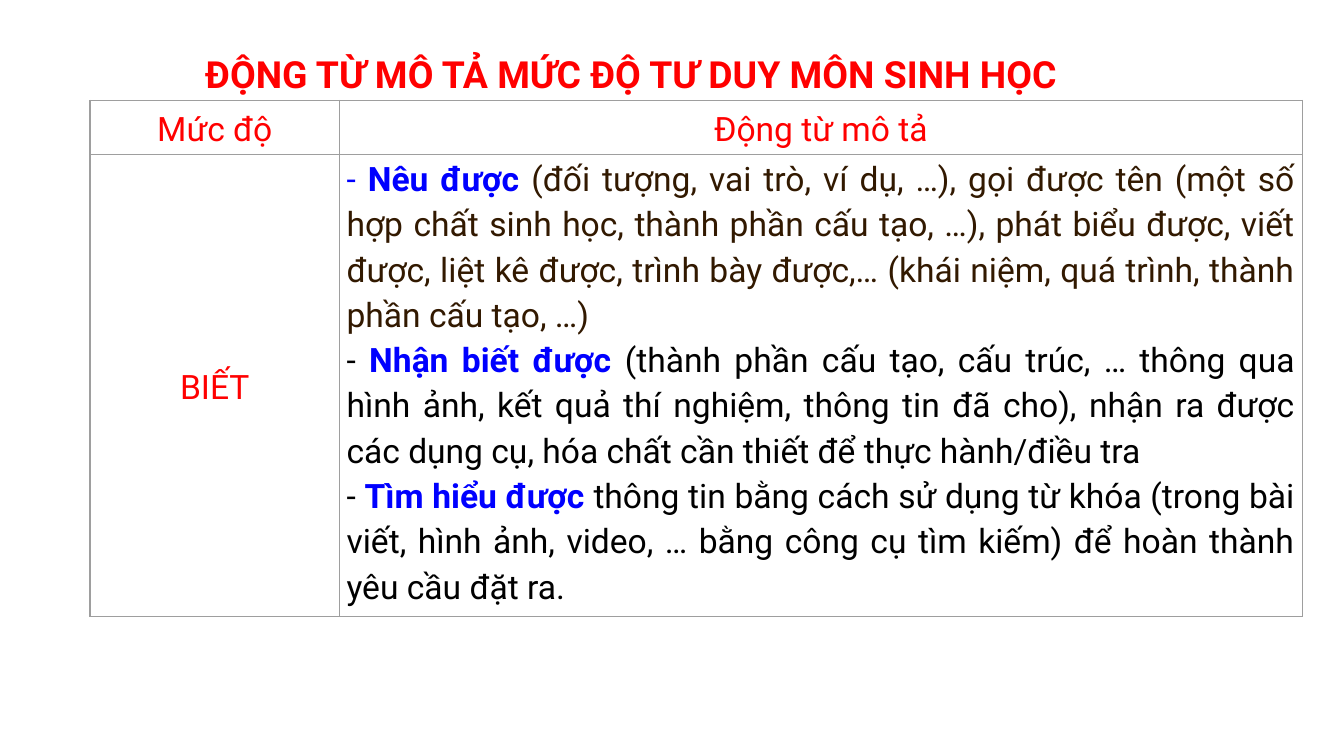
"""Build a slide with a table of verbs describing levels of thinking in biology."""
from dataclasses import dataclass

from lxml import etree
from pptx import Presentation
from pptx.dml.color import RGBColor
from pptx.enum.text import MSO_ANCHOR, MSO_AUTO_SIZE, PP_ALIGN
from pptx.oxml.ns import qn
from pptx.util import Cm, Pt

CENTER, JUSTIFY = PP_ALIGN.CENTER, PP_ALIGN.JUSTIFY
TOP, MIDDLE = MSO_ANCHOR.TOP, MSO_ANCHOR.MIDDLE
NO_AUTOFIT = MSO_AUTO_SIZE.NONE
TITLE_ONLY = 5


@dataclass(frozen=True)
class Theme:
    font: str = "Roboto"
    title_size: int = 20
    body_size: int = 18
    line_spacing: float = 1.15
    border_width: float = 0.75
    red: str = "FF0000"
    blue: str = "0000FF"
    brown: str = "321900"
    black: str = "000000"
    border: str = "9E9E9E"


T = Theme()


@dataclass(frozen=True)
class Run:
    text: str
    color: str = T.red
    bold: bool = False
    size: int = T.body_size


@dataclass(frozen=True)
class CellText:
    paragraphs: list[list[Run]]
    align: PP_ALIGN = CENTER
    anchor: MSO_ANCHOR = MIDDLE


def verb(dash_color: str, name: str, detail: str, color: str) -> list[Run]:
    return [Run("- ", dash_color), Run(name + " ", T.blue, True), Run(detail, color)]


VERBS = [
    verb(T.blue, "Nêu được",
         "(đối tượng, vai trò, ví dụ, …), gọi được tên (một số hợp chất sinh học, "
         "thành phần cấu tạo, …), phát biểu được, viết được, liệt kê được, "
         "trình bày được,… (khái niệm, quá trình, thành phần cấu tạo, …)", T.brown),
    verb(T.black, "Nhận biết được",
         "(thành phần cấu tạo, cấu trúc, … thông qua hình ảnh, kết quả thí nghiệm, "
         "thông tin đã cho), nhận ra được các dụng cụ, hóa chất cần thiết để "
         "thực hành/điều tra", T.black),
    verb(T.black, "Tìm hiểu được",
         "thông tin bằng cách sử dụng từ khóa (trong bài viết, hình ảnh, video, … "
         "bằng công cụ tìm kiếm) để hoàn thành yêu cầu đặt ra.", T.black),
]
TITLE = [Run("ĐỘNG TỪ MÔ TẢ MỨC ĐỘ TƯ DUY MÔN SINH HỌC", T.red, True, T.title_size)]
ROWS = [
    [CellText([[Run("Mức độ")]]), CellText([[Run("Động từ mô tả")]])],
    [CellText([[Run("BIẾT")]]), CellText(VERBS, JUSTIFY, TOP)],
]
COLUMN_WIDTHS = [Cm(4.72), Cm(18.19)]
ROW_HEIGHTS = [Cm(1.02), Cm(8.73)]


def write(tf, paragraphs: list[list[Run]], align: PP_ALIGN) -> None:
    for i, runs in enumerate(paragraphs):
        p = tf.add_paragraph() if i else tf.paragraphs[0]
        p.alignment = align
        p.line_spacing = T.line_spacing
        p.space_before = Pt(0)
        for run in runs:
            r = p.add_run()
            r.text = run.text
            r.font.name = T.font
            r.font.size = Pt(run.size)
            r.font.bold = run.bold
            r.font.color.rgb = RGBColor.from_string(run.color)


def add_borders(cell) -> None:
    tc_pr = cell._tc.get_or_add_tcPr()
    for i, side in enumerate(("lnL", "lnR", "lnT", "lnB")):
        ln = etree.Element(qn(f"a:{side}"), w=str(Pt(T.border_width)))
        fill = etree.SubElement(ln, qn("a:solidFill"))
        etree.SubElement(fill, qn("a:srgbClr"), val=T.border)
        tc_pr.insert(i, ln)


def fill_cell(cell, content: CellText) -> None:
    cell.fill.background()
    cell.margin_left = cell.margin_right = Cm(0.13)
    cell.margin_top = cell.margin_bottom = 0
    cell.vertical_anchor = content.anchor
    write(cell.text_frame, content.paragraphs, content.align)
    add_borders(cell)


def add_title(s) -> None:
    sp = s.shapes.title
    sp.left, sp.top, sp.width, sp.height = Cm(3.13), Cm(0.71), Cm(17.6), Cm(1.19)
    tf = sp.text_frame
    tf.word_wrap = True
    tf.auto_size = NO_AUTOFIT
    tf.vertical_anchor = TOP
    write(tf, [TITLE], CENTER)
    tf.paragraphs[0].space_after = Pt(6.2)


def add_verb_table(s) -> None:
    table = s.shapes.add_table(len(ROWS), len(COLUMN_WIDTHS), Cm(1.7), Cm(1.9),
                               sum(COLUMN_WIDTHS), sum(ROW_HEIGHTS)).table
    table.first_row = table.horz_banding = False
    for column, width in zip(table.columns, COLUMN_WIDTHS):
        column.width = width
    for row, height, contents in zip(table.rows, ROW_HEIGHTS, ROWS):
        row.height = height
        for cell, content in zip(row.cells, contents):
            fill_cell(cell, content)


def main() -> None:
    prs = Presentation()
    prs.slide_width, prs.slide_height = Cm(25.4), Cm(14.29)
    s = prs.slides.add_slide(prs.slide_layouts[TITLE_ONLY])
    add_title(s)
    add_verb_table(s)
    prs.save("out.pptx")


if __name__ == "__main__":
    main()
